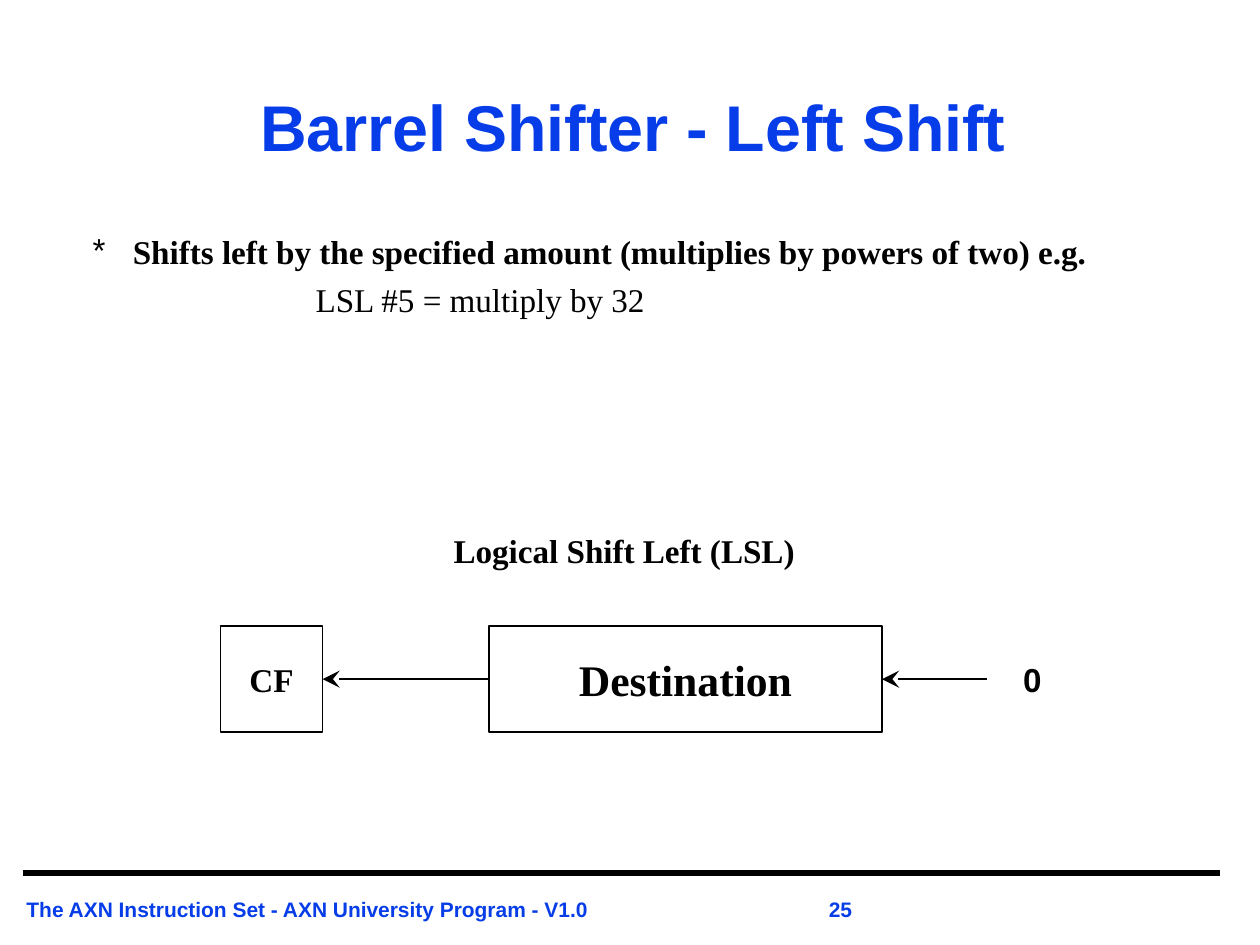
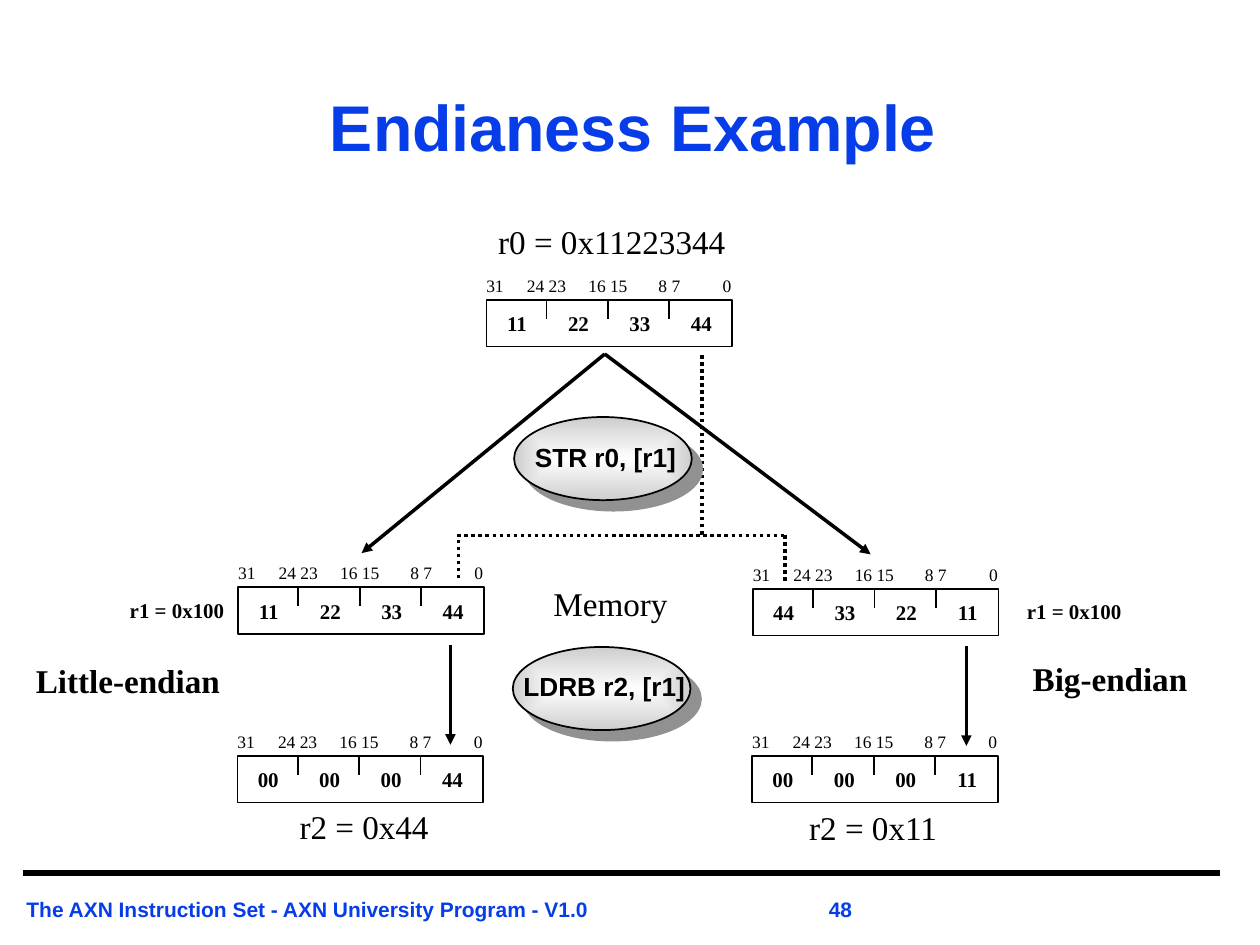
from lxml import etree
from pptx import Presentation
from pptx.dml.color import RGBColor
from pptx.enum.dml import MSO_LINE
from pptx.enum.shapes import MSO_CONNECTOR, MSO_SHAPE
from pptx.enum.text import MSO_ANCHOR, PP_ALIGN
from pptx.oxml import parse_xml
from pptx.oxml.ns import nsdecls, qn
from pptx.util import Pt

LEFT, CENTER = PP_ALIGN.LEFT, PP_ALIGN.CENTER
TOP, MIDDLE = MSO_ANCHOR.TOP, MSO_ANCHOR.MIDDLE
RECTANGLE, OVAL = MSO_SHAPE.RECTANGLE, MSO_SHAPE.OVAL
STRAIGHT = MSO_CONNECTOR.STRAIGHT
DOTTED = MSO_LINE.ROUND_DOT
LEFT_SIDE, RIGHT_SIDE = 1, 3

BLACK = RGBColor(0x00, 0x00, 0x00)
BLUE = RGBColor(0x06, 0x3D, 0xE8)
PALE = RGBColor(0xFE, 0xFE, 0xFE)
GRAY = RGBColor(0xCE, 0xCE, 0xCE)
SHADOW = RGBColor(0x91, 0x91, 0x91)

SANS, SERIF = "Arial", "Times New Roman"
WIDTH, HEIGHT = Pt(721.5), Pt(541.25)
COLUMNS, ROWS = 100, 75
REGISTER_WIDTH, REGISTER_HEIGHT = 19.5, 3.7
BYTE = REGISTER_WIDTH / 4
FOOTER = "The AXN Instruction Set - AXN University Program - V1.0"


def across(columns):
    return round(WIDTH * columns / COLUMNS)


def down(rows):
    return round(HEIGHT * rows / ROWS)


def write_text(paragraph, text, size=19, font=SERIF, color=BLACK, bold=False,
               align=LEFT, spacing=0.9, before=0, indent=0, bullet=None, tabs=()):
    properties = paragraph._p.get_or_add_pPr()
    if indent:
        properties.set("marL", str(across(indent)))
    if bullet:
        properties.set("indent", str(-across(indent)))
        etree.SubElement(properties, qn("a:buFont")).set("typeface", SANS)
        etree.SubElement(properties, qn("a:buChar")).set("char", bullet)
    if tabs:
        tab_list = etree.SubElement(properties, qn("a:tabLst"))
        for position in tabs:
            tab = etree.SubElement(tab_list, qn("a:tab"))
            tab.set("pos", str(across(position)))
            tab.set("algn", "ctr")
    paragraph.alignment = align
    paragraph.line_spacing = spacing
    if before:
        paragraph.space_before = Pt(before)
    run = paragraph.add_run()
    run.text = text
    run.font.size = Pt(size)
    run.font.name = font
    run.font.bold = bold
    run.font.color.rgb = color


class Deck:
    def __init__(self):
        self.presentation = Presentation()
        self.presentation.slide_width = WIDTH
        self.presentation.slide_height = HEIGHT
        self.slide = None

    def start_slide(self, title, number):
        layout = self.presentation.slide_layouts[6]
        self.slide = self.presentation.slides.add_slide(layout)
        self.line((1.8, 69.3), (96.8, 69.3), weight=3.75)
        self.text(f"{FOOTER}\t{number}", 2.1, 70.8, 96, 2.3, size=12, font=SANS,
                  color=BLUE, bold=True, spacing=1.18, tabs=[64.6])
        self.text(title, 10.7, 4, 79.1, 12.8, anchor=MIDDLE, size=37,
                  font=SANS, color=BLUE, bold=True, align=CENTER)

    def prepare_frame(self, shape, anchor, wrap):
        frame = shape.text_frame
        frame.margin_left = frame.margin_right = 0
        frame.margin_top = frame.margin_bottom = 0
        frame.vertical_anchor = anchor
        frame.word_wrap = wrap
        return frame

    def text(self, text, left, top, width, height=2.8, anchor=TOP, **style):
        box = self.slide.shapes.add_textbox(
            across(left), down(top), across(width), down(height))
        frame = self.prepare_frame(box, anchor, True)
        write_text(frame.paragraphs[0], text, **style)
        return frame

    def box(self, left, top, width, height, text=None, kind=RECTANGLE, **style):
        shape = self.slide.shapes.add_shape(
            kind, across(left), down(top), across(width), down(height))
        shape.shadow.inherit = False
        shape.fill.background()
        shape.line.color.rgb = BLACK
        shape.line.width = Pt(1)
        if text:
            frame = self.prepare_frame(shape, MIDDLE, False)
            write_text(frame.paragraphs[0], text, bold=True, align=CENTER, **style)
        return shape

    def line(self, start, end, weight=1, dash=None, arrow=None, arrow_size="med"):
        connector = self.slide.shapes.add_connector(
            STRAIGHT, across(start[0]), down(start[1]), across(end[0]), down(end[1]))
        connector.line.color.rgb = BLACK
        connector.line.width = Pt(weight)
        if dash:
            connector.line.dash_style = dash
        if arrow:
            outline = connector.line._get_or_add_ln()
            head = etree.SubElement(outline, qn("a:tailEnd"))
            head.set("type", arrow)
            head.set("w", arrow_size)
            head.set("len", arrow_size)
        etree.SubElement(connector._element.spPr, qn("a:effectLst"))
        return connector

    def register(self, left, top, values):
        self.box(left, top, REGISTER_WIDTH, REGISTER_HEIGHT)
        ticks = [BYTE * index - 0.1 for index in (1, 2, 3)]
        for tick in ticks:
            self.line((left + tick, top), (left + tick, top + 1.5))
        self.text("31\t24 23\t16 15\t8 7\t0", left, top - 1.8, REGISTER_WIDTH + 1, 1.6,
                  size=10, tabs=ticks + [REGISTER_WIDTH - 0.4])
        centers = [BYTE * (index + 0.5) for index in range(4)]
        self.text("".join("\t" + value for value in values), left, top + 1.1,
                  REGISTER_WIDTH, 1.9, size=12, bold=True, tabs=centers)

    def instruction(self, text, left, top):
        width, height = 14.1, 6.6
        shape = self.box(left, top, width, height, kind=OVAL)
        properties = shape._element.spPr
        gradient = parse_xml(
            f'<a:gradFill {nsdecls("a")} rotWithShape="0"><a:gsLst>'
            f'<a:gs pos="0"><a:srgbClr val="{PALE}"/></a:gs>'
            f'<a:gs pos="100000"><a:srgbClr val="{GRAY}"/></a:gs></a:gsLst>'
            '<a:path path="rect"><a:fillToRect l="50000" t="50000" r="50000" b="50000"/>'
            '</a:path></a:gradFill>')
        properties.replace(properties.find(qn("a:noFill")), gradient)
        properties.find(qn("a:effectLst")).append(parse_xml(
            f'<a:outerShdw {nsdecls("a")} dist="{Pt(8.5)}" dir="2700000" algn="ctr" '
            f'rotWithShape="0"><a:srgbClr val="{SHADOW}"/></a:outerShdw>'))
        self.text(text, left + 0.2, top, width, height, anchor=MIDDLE,
                  size=15, font=SANS, bold=True, align=CENTER)


def build_left_shift(deck):
    deck.start_slide("Barrel Shifter - Left Shift", 25)
    body = deck.text("Shifts left by the specified amount (multiplies by powers of two) e.g.",
                     7.35, 18.7, 85.5, 47.7, bold=True, indent=3.2, bullet="*")
    write_text(body.add_paragraph(), "LSL #5 = multiply by 32", before=7.1, indent=17.7)
    deck.text("Logical Shift Left (LSL)", 36, 42.1, 32, 3.2, bold=True, spacing=1)
    destination = deck.box(38.8, 49.7, 31.2, 8.4, "Destination", size=25, spacing=1)
    carry_flag = deck.box(17.5, 49.7, 8.1, 8.4, "CF", spacing=1)
    carry_arrow = deck.line((38.8, 53.9), (25.6, 53.9), arrow="stealth", arrow_size="lg")
    carry_arrow.begin_connect(destination, LEFT_SIDE)
    carry_arrow.end_connect(carry_flag, RIGHT_SIDE)
    zero_arrow = deck.line((78.3, 53.9), (70, 53.9), arrow="stealth", arrow_size="lg")
    zero_arrow.end_connect(destination, RIGHT_SIDE)
    deck.text("0", 81.2, 52.65, 3, font=SANS, bold=True)


def build_endianess(deck):
    deck.start_slide("Endianess Example", 48)
    for text, left, top, width, size, bold in (
        ("Big-endian", 80.4, 52.6, 15.4, 19, True),
        ("Little-endian", 2, 52.8, 16.3, 19, True),
        ("r1 = 0x100", 9, 47.65, 10.1, 12, True),
        ("r1 = 0x100", 80.2, 47.75, 10.1, 12, True),
        ("r0 = 0x11223344", 38.4, 17.95, 20.3, 19, False),
        ("Memory", 43.2, 46.65, 10.5, 19, False),
        ("r2 = 0x44", 22.7, 64.35, 12.4, 19, False),
        ("r2 = 0x11", 63.1, 64.4, 12.4, 19, False),
    ):
        deck.text(text, left, top, width, size=size, bold=bold, align=CENTER)
    for start, end in (
        ((55.7, 28.2), (55.7, 42.5)),
        ((36.3, 42.5), (62.4, 42.5)),
        ((36.4, 45.9), (36.4, 42.4)),
        ((62.3, 46.1), (62.3, 42.4)),
    ):
        deck.line(start, end, weight=2, dash=DOTTED)
    for left, top, values in (
        (38.6, 23.8, ("11", "22", "33", "44")),
        (18.9, 46.6, ("11", "22", "33", "44")),
        (59.75, 46.75, ("44", "33", "22", "11")),
        (18.85, 60, ("00", "00", "00", "44")),
        (59.7, 60, ("00", "00", "00", "11")),
    ):
        deck.register(left, top, values)
    deck.instruction("STR r0, [r1]", 40.8, 33.1)
    deck.instruction("LDRB r2, [r1]", 40.7, 51.35)
    for start, end in (
        ((48, 28.1), (28.7, 43.9)),
        ((48, 28.1), (69.1, 44)),
        ((35.75, 51.2), (35.75, 59.1)),
        ((76.7, 51.3), (76.7, 59.2)),
    ):
        deck.line(start, end, weight=2, arrow="triangle")


def main():
    deck = Deck()
    build_left_shift(deck)
    build_endianess(deck)
    deck.presentation.save("out.pptx")


if __name__ == "__main__":
    main()
